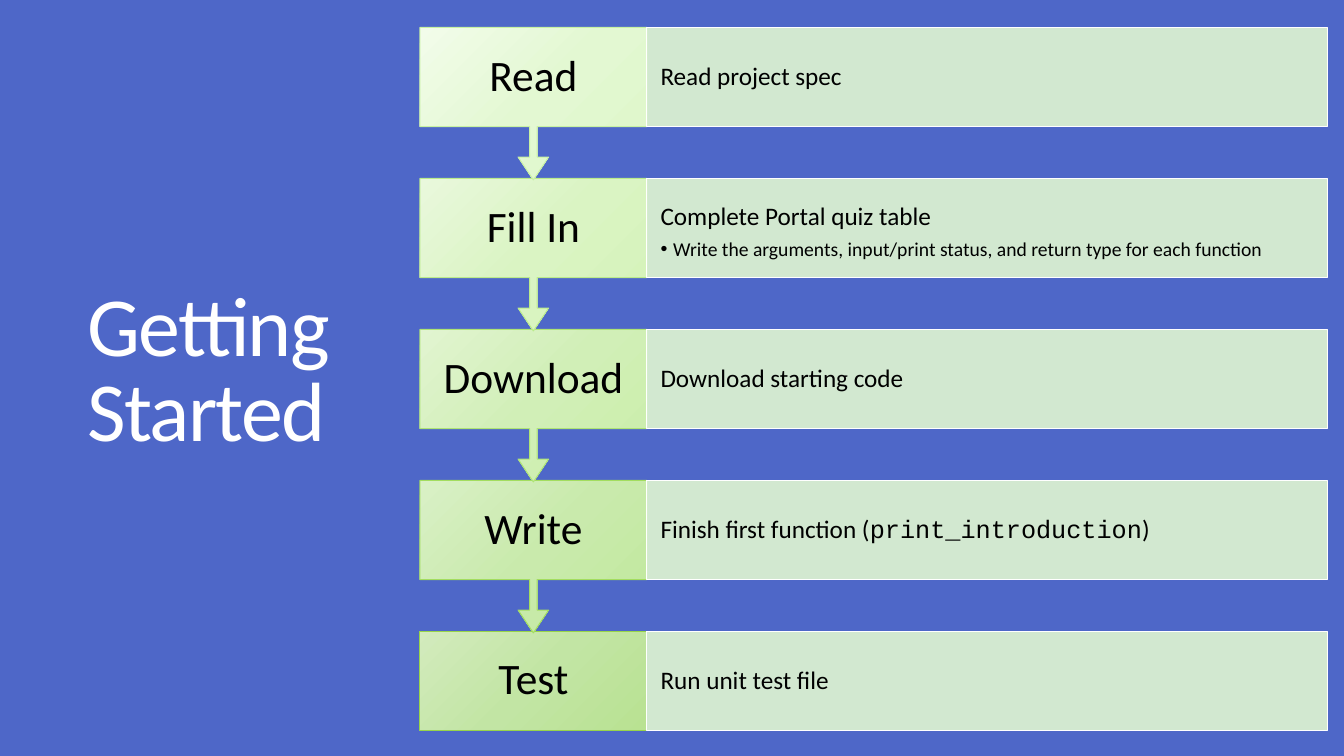
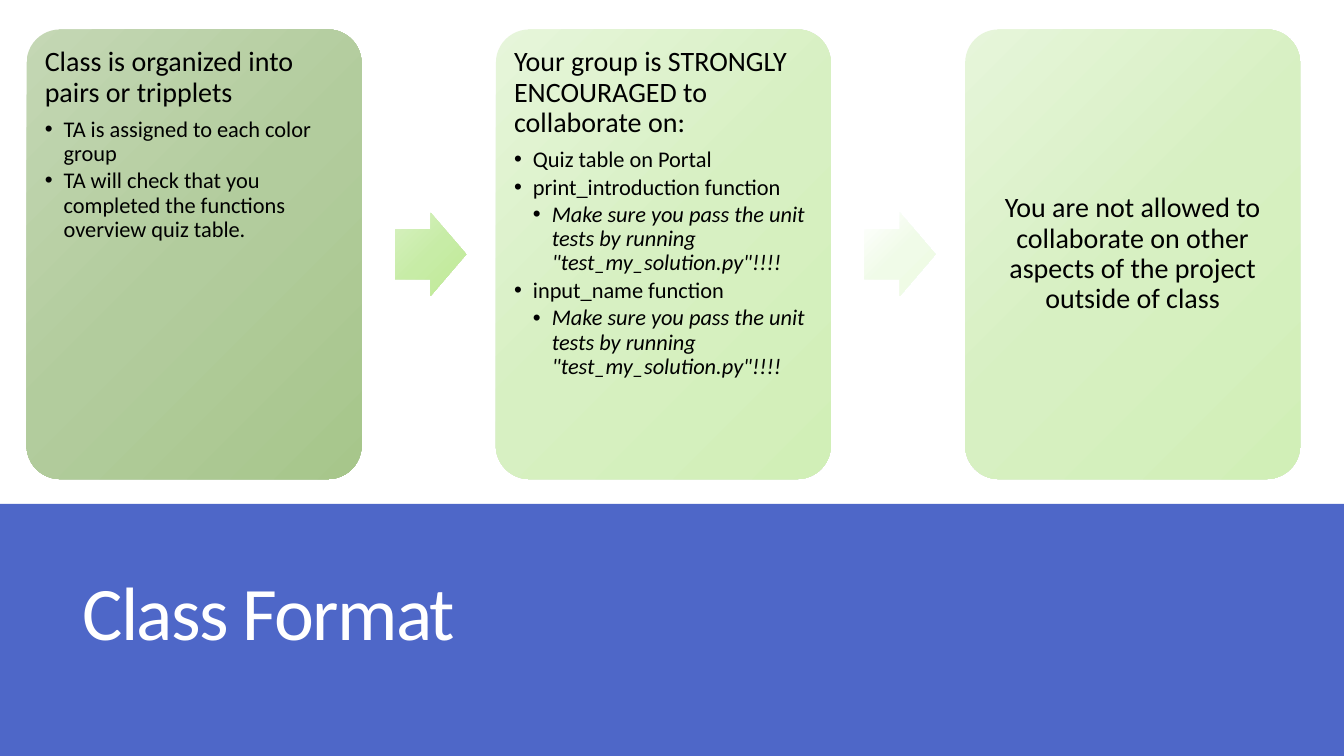
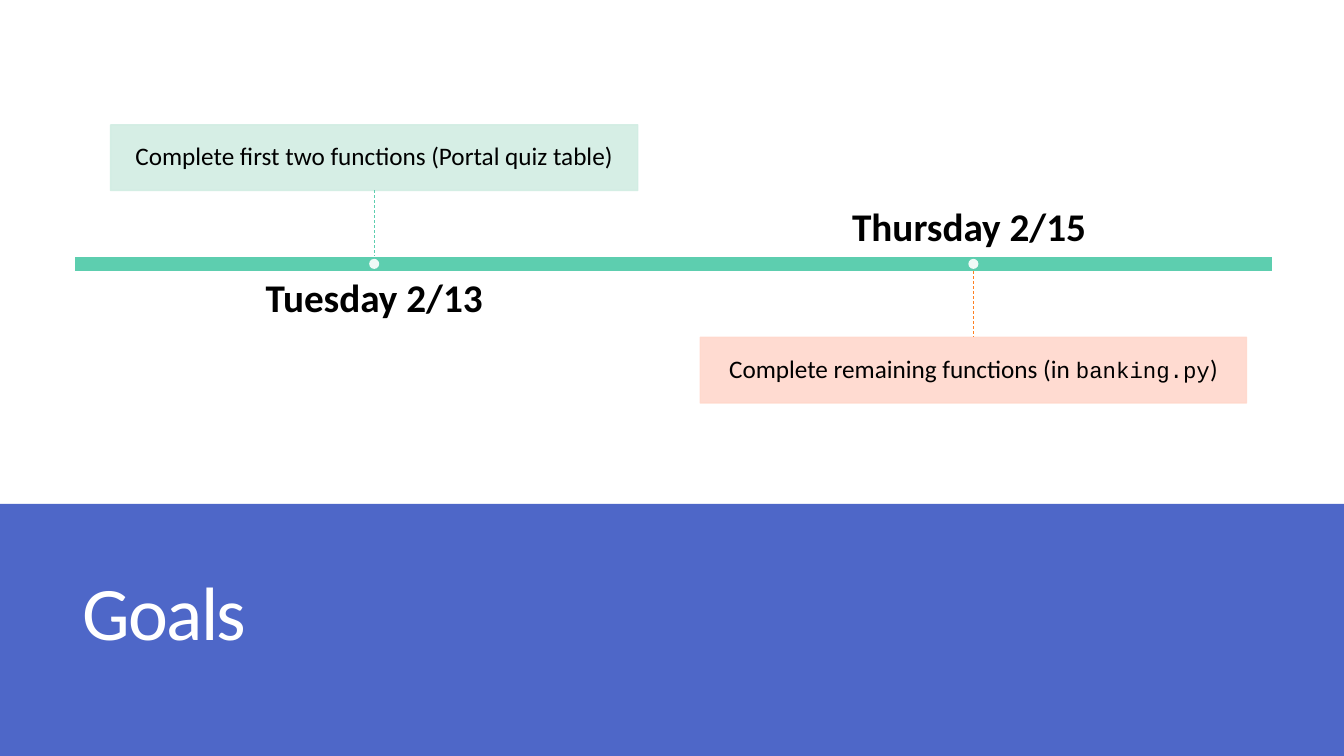
from copy import deepcopy

from lxml import etree
from pptx import Presentation
from pptx.dml.color import RGBColor
from pptx.enum.dml import MSO_LINE
from pptx.enum.shapes import MSO_CONNECTOR, MSO_SHAPE
from pptx.enum.text import MSO_ANCHOR, PP_ALIGN
from pptx.oxml.ns import qn
from pptx.util import Pt

RECT = MSO_SHAPE.RECTANGLE
ROUND = MSO_SHAPE.ROUNDED_RECTANGLE
ARROW = MSO_SHAPE.RIGHT_ARROW
CALL = MSO_SHAPE.DOWN_ARROW_CALLOUT
OVAL = MSO_SHAPE.OVAL
LINE = MSO_CONNECTOR.STRAIGHT
DASH = MSO_LINE.DASH
TOP, MID, LOW = MSO_ANCHOR.TOP, MSO_ANCHOR.MIDDLE, MSO_ANCHOR.BOTTOM
LEFT, CENTER = PP_ALIGN.LEFT, PP_ALIGN.CENTER

WIDE, HIGH = 960, 540
FONT, MONO = "Calibri", "Courier New"

# A value with three hex codes is a gradient from top left to bottom right.
COLORS = {
    "blue": "4E67C8",
    "white": "FFFFFF",
    "black": "000000",
    "panel": "E1F7D1",
    "teal": "5DCEAF",
    "mint": "D2EDE3",
    "peach": "FFD8CC",
    "orange": "FF8021",
    "read": "F2FCEA E3F8D2 DEF7C9",
    "fill": "E9F8DC DAF4C3 D4F3B8",
    "load": "E1F4D0 D1EFB7 CAEEA9",
    "write": "D9F0C6 C9EAAC C1E99D",
    "test": "D3EBBD C2E5A4 B9E292",
    "read edge": "C8F1A3",
    "fill edge": "BBEB8B",
    "load edge": "AEE475",
    "write edge": "A3DD5F",
    "test edge": "98D44A",
    "sage": "C4D7B4 B2CC9D A7C68B",
    "lime": "E6F5DA D7F0C2 D1EFB7",
    "green": "D7F1C1 C7ECA6 BFEA95",
    "pale": "FFFFFF F0FBE8 EDFBE2",
}

STEPS = [
    ("Read", "read", ["Read project spec"]),
    ("Fill In", "fill", [
        "Complete Portal quiz table",
        (1, "Write the arguments, input/print status, and return type "
            "for each function")]),
    ("Download", "load", ["Download starting code"]),
    ("Write", "write", ["Finish first function (`print_introduction`)"]),
    ("Test", "test", ["Run unit test file"]),
]

CHECK = (2, 'Make sure you pass the unit tests by running '
            '"test_my_solution.py"!!!!')
CARDS = [
    ("sage", LEFT, [
        "Class is organized into pairs or tripplets",
        (1, "TA is assigned to each color group"),
        (1, "TA will check that you completed the functions overview "
            "quiz table.")]),
    ("lime", LEFT, [
        "Your group is STRONGLY ENCOURAGED to collaborate on:",
        (1, "Quiz table on Portal"),
        (1, "print_introduction function"),
        CHECK,
        (1, "input_name function"),
        CHECK]),
    ("lime", CENTER, [
        "You are not allowed to collaborate on other aspects of the "
        "project outside of class"]),
]


def rgb(name):
    return RGBColor.from_string(COLORS[name])


def fade(fill, alpha):
    """Make a solid fill or line let the ground show through."""
    for color in fill.iter(qn("a:srgbClr")):
        etree.SubElement(color, qn("a:alpha"), val=str(alpha * 1000))


def blend(shape, name):
    """Fill with the three-stop gradient of that name."""
    fill = shape.fill
    fill.gradient()
    fill.gradient_angle = 315
    stops = next(shape._element.spPr.iter(qn("a:gsLst")))
    stops.insert(1, deepcopy(stops[0]))
    for i, code in enumerate(COLORS[name].split()):
        stop = fill.gradient_stops[i]
        stop.color.rgb = RGBColor.from_string(code)
        stop.position = i / 2


def draw(slide, kind, at, fill, edge=None, width=1, alpha=None, adj=()):
    """Add a preset shape; at is left, top, width, height."""
    shape = slide.shapes.add_shape(kind, *map(Pt, at))
    shape.shadow.inherit = False
    for i, value in enumerate(adj):
        shape.adjustments[i] = value
    if " " in COLORS[fill]:
        blend(shape, fill)
    else:
        shape.fill.solid()
        shape.fill.fore_color.rgb = rgb(fill)
    if edge:
        shape.line.color.rgb = rgb(edge)
        shape.line.width = Pt(width)
    else:
        shape.line.fill.background()
    if alpha:
        fade(shape._element.spPr, alpha)
    return shape


def bullet(para, level, step):
    para.level = level
    props = para._p.get_or_add_pPr()
    props.set("marL", str(Pt(step * level)))
    props.set("indent", str(-Pt(step)))
    etree.SubElement(props, qn("a:buFont"), typeface="Arial")
    etree.SubElement(props, qn("a:buChar"), char="•")


def write(shape, paras, size, sub=None, code=None, color="black", bold=False,
          align=LEFT, anchor=None, pad=(0, 0), lead=0.9, step=0, track=0):
    """Set text: a plain string is level 0, a pair is (level, string).

    Backticks mark code, and the second level is italic.
    """
    frame = shape.text_frame
    frame.word_wrap = True
    frame.margin_left = frame.margin_right = Pt(pad[0])
    frame.margin_top = frame.margin_bottom = Pt(pad[1])
    frame.vertical_anchor = anchor or (TOP if len(paras) > 1 else MID)
    for i, item in enumerate(paras):
        level, text = (0, item) if isinstance(item, str) else item
        para = frame.add_paragraph() if i else frame.paragraphs[0]
        if level:
            bullet(para, level, step)
        points = sub if level else size
        para.alignment = align
        para.line_spacing = lead
        if len(paras) > 1:
            para.space_after = Pt(points * (0.15 if level else 0.35))
        for j, part in enumerate(text.split("`")):
            run = para.add_run()
            run.text = part
            font = run.font
            font.name = MONO if j % 2 else FONT
            font.size = Pt(code if code and j % 2 else points)
            font.bold = bold
            font.italic = level == 2
            font.color.rgb = rgb(color)
            if track:
                run._r.get_or_add_rPr().set("spc", str(track))


def label(slide, at, text, size, **form):
    write(slide.shapes.add_textbox(*map(Pt, at)), [text], size, **form)


def title(slide, text, at, size):
    label(slide, at, text, size, color="white", anchor=MID, pad=(7.2, 3.6),
          lead=0.85, track=-120)


def dashes(slide, x, top, end, color):
    line = slide.shapes.add_connector(LINE, Pt(x), Pt(top), Pt(x), Pt(end))
    line.line.color.rgb = rgb(color)
    line.line.width = Pt(0.5)
    line.line.dash_style = DASH
    etree.SubElement(line._element.spPr, qn("a:effectLst"))


def page(deck, ground="white"):
    slide = deck.slides.add_slide(deck.slide_layouts[6])
    slide.background.fill.solid()
    slide.background.fill.fore_color.rgb = rgb(ground)
    return slide


def banded(deck, text):
    """Add a slide with its title in a band at the foot."""
    slide = page(deck)
    draw(slide, RECT, (0, 360, WIDE, 180), "blue")
    title(slide, text, (51.8, 375.8, 848, 130.3), 54)
    return slide


def start(deck):
    slide = page(deck, "blue")
    title(slide, "Getting Started", (55.4, 50.2, 314.6, 432.7), 60)
    left, top, pitch, wide, high = 300, 19.6, 107.85, 162, 70.8
    last = len(STEPS) - 1
    # From the foot up, so that each arrow tip lies on the step below.
    for i, (name, tone, paras) in reversed(list(enumerate(STEPS))):
        y = top + i * pitch
        if i == last:
            step = draw(slide, RECT, (left, y, wide, high), tone,
                        tone + " edge", 0.75)
        else:
            step = draw(slide, CALL, (left, y, wide, high / 0.65), tone,
                        tone + " edge", 0.75, adj=(0.05, 0.1, 0.15, 0.65))
        write(step, [name], 31, align=CENTER, pad=(11.5, 17.3))
        panel = draw(slide, RECT, (left + wide, y, 486, high), "panel",
                     "white", 0.75)
        fade(panel._element.spPr.find(qn("a:solidFill")), 90)
        write(panel, paras, 18, sub=14, pad=(9.8, 18), step=9)


def form(deck):
    slide = banded(deck, "Class Format")
    left, pitch, wide = 19, 335.2, 239.3
    for i, (tone, align, paras) in enumerate(CARDS):
        card = draw(slide, ROUND, (left + i * pitch, 21, wide, 321.2), tone,
                    adj=(0.1,))
        write(card, paras, 20, sub=16, align=align, pad=(6, 6), step=13.5)
    for i, tone in enumerate(("green", "pale")):
        x = left + wide + 24 + i * pitch
        draw(slide, ARROW, (x, 152, 50.7, 59.3), tone, adj=(0.6, 0.5))


def goals(deck):
    slide = banded(deck, "Goals")
    left, wide, top, high = 53.3, 856, 183.1, 10.8
    draw(slide, RECT, (left, top, wide, high), "teal", "white")
    days = [
        ("Tuesday 2/13", 198.7, TOP, "mint", 89.2, 376.6, "teal",
         "Complete first two functions (Portal quiz table)"),
        ("Thursday 2/15 ", 147.2, LOW, "peach", 241, 390.2, "orange",
         "Complete remaining functions (in `banking.py`)"),
    ]
    for i, (day, y, anchor, tone, card, span, ink, text) in enumerate(days):
        x = left + wide * (1 + 2 * i) / 4
        label(slide, (x - 171.4, y, 342.8, 31), day, 28, bold=True,
              align=CENTER, anchor=anchor)
        note = draw(slide, RECT, (x - span / 2, card, span, 46.8), tone, tone,
                    alpha=90)
        write(note, [text], 18, code=16, align=CENTER, pad=(10, 13.5))
        ends = (top + high, card) if card > top else (card + 46.8, top)
        dashes(slide, x, *ends, ink)
        draw(slide, OVAL, (x - 3.6, top + high / 2 - 3.6, 7.2, 7.2), "white",
             alpha=90)


def main():
    deck = Presentation()
    deck.slide_width, deck.slide_height = Pt(WIDE), Pt(HIGH)
    start(deck)
    form(deck)
    goals(deck)
    deck.save("out.pptx")


if __name__ == "__main__":
    main()
